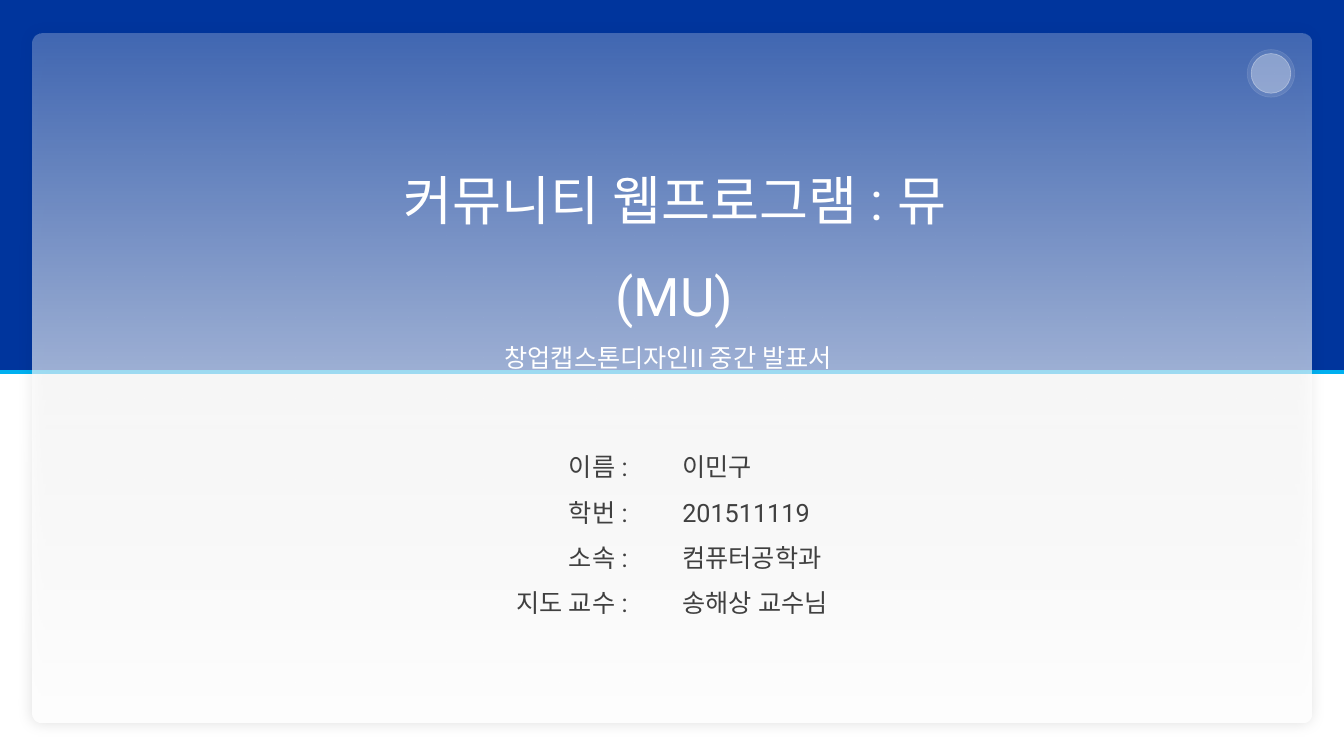
from pptx import Presentation
from pptx.dml.color import RGBColor
from pptx.enum.shapes import MSO_CONNECTOR as CONN, MSO_SHAPE as SHAPE
from pptx.enum.text import MSO_ANCHOR as ANCHOR, MSO_AUTO_SIZE as FIT, PP_ALIGN as ALIGN
from pptx.oxml.ns import qn
from pptx.util import Cm, Pt
from lxml.etree import SubElement

NAVY = RGBColor(0x00, 0x35, 0x9D)
CYAN = RGBColor(0x00, 0xB0, 0xF0)
WHITE = RGBColor(0xFF, 0xFF, 0xFF)
GREY = RGBColor(0x40, 0x40, 0x40)
FONT = "Roboto"
WIDTH, HEIGHT = 33.87, 19.05

TITLE = [("커뮤니티 웹프로그램 : 뮤(MU)", 38), ("창업캡스톤디자인II 중간 발표서  ", 18)]
DETAILS = [
    ("이름 : ", "이민구"),
    ("학번 : ", "201511119"),
    ("소속 : ", "컴퓨터공학과"),
    ("지도 교수 : ", "송해상 교수님"),
]


def set_alpha(sp, *percents):
    """Set the opacity of the shape's colours, fill first, then line."""
    colours = sp._element.spPr.iter(qn("a:srgbClr"))
    for colour, percent in zip(colours, percents):
        SubElement(colour, qn("a:alpha"), val=str(percent * 1000))


def add_shape(shapes, kind, x, y, w, h):
    sp = shapes.add_shape(kind, Cm(x), Cm(y), Cm(w), Cm(h))
    sp.shadow.inherit = False
    sp.line.fill.background()
    return sp


def add_band(s):
    band = add_shape(s.shapes, SHAPE.RECTANGLE, 0, 0, WIDTH, 9.42)
    band.fill.solid()
    band.fill.fore_color.rgb = NAVY
    edge = s.shapes.add_connector(CONN.STRAIGHT, 0, Cm(9.37), Cm(WIDTH), Cm(9.37))
    edge.line.color.rgb = CYAN
    edge.line.width = Pt(3.25)
    SubElement(edge._element.spPr, qn("a:effectLst"))


def add_card(s):
    card = add_shape(s.shapes, SHAPE.ROUNDED_RECTANGLE, 0.81, 0.84, 32.23, 17.37)
    card.adjustments[0] = 0.013
    card.fill.gradient()
    card.fill.gradient_angle = 270
    for stop in card.fill.gradient_stops:
        stop.color.rgb = WHITE
    set_alpha(card, 26, 100)
    # Soft shadow all round
    effects = card._element.spPr.find(qn("a:effectLst"))
    shadow = SubElement(effects, qn("a:outerShdw"), blurRad=str(Pt(10)),
                        dist="0", dir="0", algn="ctr", rotWithShape="0")
    black = SubElement(shadow, qn("a:srgbClr"), val="000000")
    SubElement(black, qn("a:alpha"), val="12000")


def add_disc(shapes, x, y, size, fill_alpha, line_alpha):
    disc = add_shape(shapes, SHAPE.OVAL, x, y, size, size)
    disc.fill.solid()
    disc.fill.fore_color.rgb = WHITE
    disc.line.color.rgb = WHITE
    disc.line.width = Pt(0.5)
    set_alpha(disc, fill_alpha, line_alpha)


def fill_placeholder(s, index, box, lines, colour, align, wrap):
    sp = s.placeholders[index]
    sp.left, sp.top, sp.width, sp.height = (Cm(v) for v in box)
    s.shapes._spTree.append(sp._element)  # bring in front of the card
    tf = sp.text_frame
    tf.text = "\n".join(text for text, _ in lines)
    tf.word_wrap = wrap
    tf.auto_size = FIT.NONE
    tf.vertical_anchor = ANCHOR.TOP
    for p, (_, size) in zip(tf.paragraphs, lines):
        p.alignment = align
        p.line_spacing = 1.5
        p.space_before = Pt(0)
        pPr = p._p.get_or_add_pPr()
        pPr.set("marL", "0")
        pPr.set("indent", "0")
        SubElement(pPr, qn("a:buNone"))
        for r in p.runs:
            r.font.size = Pt(size)
            r.font.color.rgb = colour
            r.font.name = FONT
            SubElement(r._r.get_or_add_rPr(), qn("a:ea"), typeface=FONT)


def main():
    prs = Presentation()
    prs.slide_width, prs.slide_height = Cm(WIDTH), Cm(HEIGHT)
    s = prs.slides.add_slide(prs.slide_layouts.get_by_name("Two Content"))

    # Background and card
    add_band(s)
    add_card(s)

    # Round ornament in the corner
    ornament = s.shapes.add_group_shape()
    add_disc(ornament.shapes, 31.43, 1.25, 1.2, 10, 10)
    add_disc(ornament.shapes, 31.53, 1.35, 1, 30, 35)

    # Title, then values and labels of the details
    labels, values = ([(text, 18) for text in column] for column in zip(*DETAILS))
    fill_placeholder(s, 0, (8.53, 3.28, 16.94, 3.71), TITLE, WHITE, ALIGN.CENTER, True)
    fill_placeholder(s, 2, (16.94, 10.87, 4.22, 4.72), values, GREY, ALIGN.LEFT, False)
    fill_placeholder(s, 1, (12.7, 10.87, 3.53, 4.72), labels, GREY, ALIGN.RIGHT, False)

    prs.save("out.pptx")


if __name__ == "__main__":
    main()
